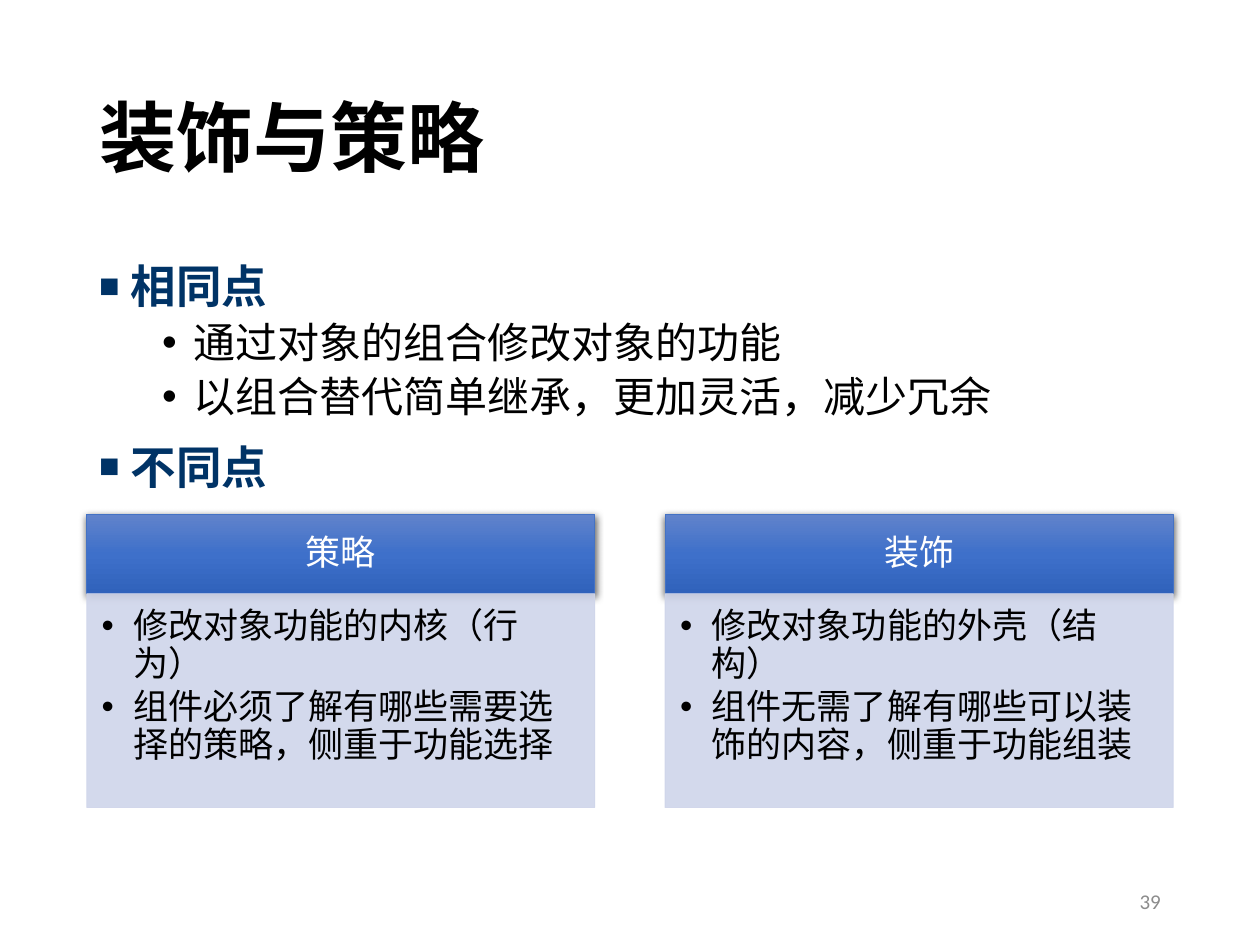
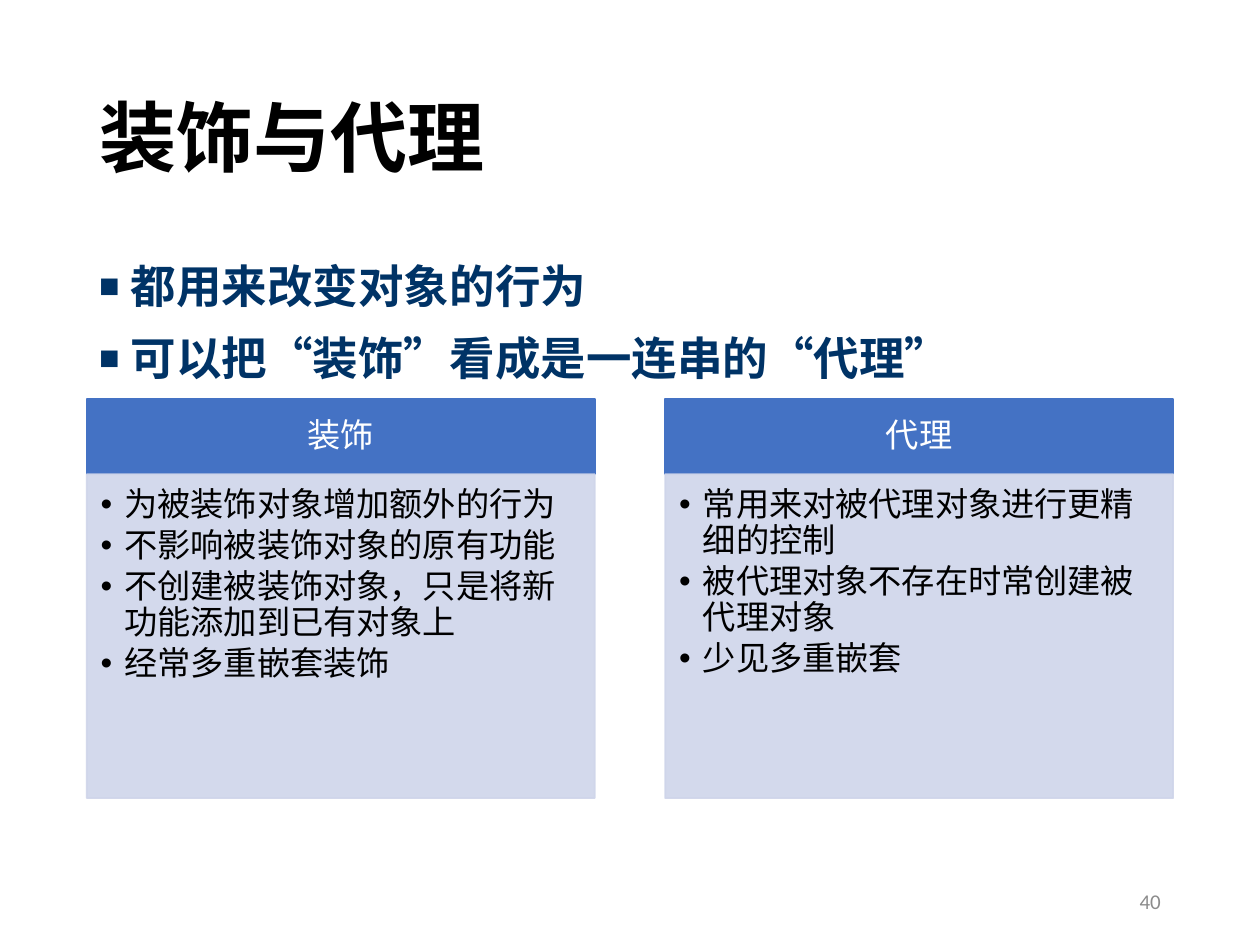
from copy import deepcopy

from lxml import etree
from pptx import Presentation
from pptx import util as u
from pptx.dml import color as dml
from pptx.enum import shapes, text
from pptx.oxml import ns

COLORS = {
    "ink": "000000", "heading": "003366", "number": "8C8C8C", "white": "FFFFFF",
    "header": "4472C4", "panel": "CFD5EA", "shadow": "000000",
    "sheen": ("6183CB", "3E70CA", "3062BB"),
}
CJK, LATIN = "Noto Sans CJK SC", "Calibri"

SLIDES = [
    {
        "title": "装饰与策略",
        "number": "39",
        "outline": [
            ("heading", "相同点"),
            ("detail", "通过对象的组合修改对象的功能"),
            ("detail", "以组合替代简单继承，更加灵活，减少冗余"),
            ("heading", "不同点"),
        ],
        "columns": [
            ("策略", ["修改对象功能的内核（行为）",
                    "组件必须了解有哪些需要选择的策略，侧重于功能选择"]),
            ("装饰", ["修改对象功能的外壳（结构）",
                    "组件无需了解有哪些可以装饰的内容，侧重于功能组装"]),
        ],
        "look": {"top": 10.37, "header": 1.6, "panel": 4.31, "size": 20,
                 "indent": 0.64, "border": 0.5, "glossy": True,
                 "header_inset": (0.41, 0.23, 0.41, 0.23),
                 "panel_inset": (0.3, 0.3, 0.41, 0.43)},
    },
    {
        "title": "装饰与代理",
        "number": "40",
        "outline": [
            ("heading", "都用来改变对象的行为"),
            ("heading", "可以把“装饰”看成是一连串的“代理”"),
        ],
        "columns": [
            ("装饰", ["为被装饰对象增加额外的行为",
                    "不影响被装饰对象的原有功能",
                    "不创建被装饰对象，只是将新功能添加到已有对象上",
                    "经常多重嵌套装饰"]),
            ("代理", ["常用来对被代理对象进行更精细的控制",
                    "被代理对象不存在时常创建被代理对象",
                    "少见多重嵌套"]),
        ],
        "look": {"top": 8.04, "header": 1.52, "panel": 6.53, "size": 19,
                 "indent": 0.48, "border": 1, "glossy": False,
                 "header_inset": (0.38, 0.21, 0.38, 0.21),
                 "panel_inset": (0.28, 0.28, 0.38, 0.43)},
    },
]

PAGE = (25.4, 19.05)
MARGIN = 1.75
CONTENT = PAGE[0] - 2 * MARGIN
COLUMN = 10.24
STEP = CONTENT - COLUMN
INSET = (0.25, 0.13, 0.25, 0.13)
TITLE_BOX = (MARGIN, 1.01, CONTENT, 3.68)
OUTLINE_BOX = (MARGIN, 5.08, CONTENT, 12.09)
NUMBER_BOX = (PAGE[0] - MARGIN - 5.72, 17.65, 5.72, 1.02)

OUTLINE = {
    "heading": {"size": 26, "color": "heading", "bold": True, "bullet": ("■", 75),
                "margin": 0.64, "indent": 0.64, "format": {"space_before": u.Pt(10)}},
    "detail": {"size": 24, "bullet": ("•", 100), "margin": 1.91, "indent": 0.64,
               "format": {"space_before": u.Pt(5), "line_spacing": 0.9}},
}


def rgb(name):
    return dml.RGBColor.from_string(COLORS.get(name, name))


def assign(target, values):
    for key, value in values.items():
        setattr(target, key, value)


def add_xml(parent, tag, **attributes):
    return etree.SubElement(parent, ns.qn(tag), attributes)


def write(frame, lines, inset=INSET, anchor=text.MSO_ANCHOR.TOP):
    sides = ("margin_left", "margin_top", "margin_right", "margin_bottom")
    assign(frame, {"word_wrap": True, "vertical_anchor": anchor,
                   **{side: u.Cm(gap) for side, gap in zip(sides, inset)}})
    for index, (words, style) in enumerate(lines):
        paragraph = frame.add_paragraph() if index else frame.paragraphs[0]
        assign(paragraph, {"alignment": text.PP_ALIGN.LEFT, **style.get("format", {})})
        if "bullet" in style:
            mark, percent = style["bullet"]
            properties = paragraph._p.get_or_add_pPr()
            properties.set("marL", str(u.Cm(style["margin"])))
            properties.set("indent", str(-u.Cm(style["indent"])))
            add_xml(properties, "a:buSzPct", val=str(percent * 1000))
            add_xml(properties, "a:buFont", typeface="Arial")
            add_xml(properties, "a:buChar", char=mark)
        run = paragraph.add_run()
        run.text = words
        face = style.get("face", CJK)
        assign(run.font, {"size": u.Pt(style["size"]), "name": face,
                          "bold": style.get("bold", False)})
        run.font.color.rgb = rgb(style.get("color", "ink"))
        add_xml(run._r.get_or_add_rPr(), "a:ea", typeface=face)


def add_text(slide, box, lines, **options):
    write(slide.shapes.add_textbox(*map(u.Cm, box)).text_frame, lines, **options)


def add_block(slide, box, color, border):
    block = slide.shapes.add_shape(shapes.MSO_SHAPE.RECTANGLE, *map(u.Cm, box))
    block.shadow.inherit = False
    block.fill.solid()
    block.fill.fore_color.rgb = block.line.color.rgb = rgb(color)
    block.line.width = u.Pt(border)
    return block


def make_glossy(block):
    block.fill.gradient()
    block.fill.gradient_angle = 270
    properties = block._element.spPr
    stops = properties.find(".//" + ns.qn("a:gsLst"))
    stops.insert(1, deepcopy(stops[0]))
    for stop, position, tone in zip(block.fill.gradient_stops, (0, 0.5, 1), COLORS["sheen"]):
        stop.position = position
        stop.color.rgb = rgb(tone)
    shadow = add_xml(properties.find(ns.qn("a:effectLst")), "a:outerShdw",
                     blurRad=str(u.Pt(4.5)), dist=str(u.Pt(1.5)), dir="5400000",
                     algn="ctr", rotWithShape="0")
    tint = add_xml(shadow, "a:srgbClr", val=COLORS["shadow"])
    add_xml(tint, "a:alpha", val="63000")


def add_column(slide, left, heading, points, look):
    header = add_block(slide, (left, look["top"], COLUMN, look["header"]),
                       "header", look["border"])
    if look["glossy"]:
        make_glossy(header)
    heading_style = {"size": look["size"], "color": "white",
                     "format": {"alignment": text.PP_ALIGN.CENTER, "line_spacing": 0.9}}
    write(header.text_frame, [(heading, heading_style)],
          look["header_inset"], text.MSO_ANCHOR.MIDDLE)

    panel = add_block(slide, (left, look["top"] + look["header"], COLUMN, look["panel"]),
                      "panel", look["border"])
    for tint in panel._element.spPr.iter(ns.qn("a:srgbClr")):
        add_xml(tint, "a:alpha", val="90000")
    point_style = {"size": look["size"], "bullet": ("•", 100),
                   "margin": look["indent"], "indent": look["indent"],
                   "format": {"line_spacing": 0.9, "space_after": u.Pt(look["size"] * 0.15)}}
    write(panel.text_frame, [(point, point_style) for point in points], look["panel_inset"])


def add_page(deck, page):
    slide = deck.slides.add_slide(deck.slide_layouts[6])
    title_style = {"size": 44, "bold": True, "format": {"line_spacing": 0.9}}
    number_style = {"size": 12, "color": "number", "face": LATIN,
                    "format": {"alignment": text.PP_ALIGN.RIGHT}}
    middle = text.MSO_ANCHOR.MIDDLE
    add_text(slide, TITLE_BOX, [(page["title"], title_style)], anchor=middle)
    add_text(slide, OUTLINE_BOX, [(words, OUTLINE[level]) for level, words in page["outline"]])
    add_text(slide, NUMBER_BOX, [(page["number"], number_style)], anchor=middle)
    for index, (heading, points) in enumerate(page["columns"]):
        add_column(slide, MARGIN + index * STEP, heading, points, page["look"])


def main():
    deck = Presentation()
    assign(deck, {"slide_width": u.Cm(PAGE[0]), "slide_height": u.Cm(PAGE[1])})
    for page in SLIDES:
        add_page(deck, page)
    deck.save("out.pptx")


if __name__ == "__main__":
    main()
